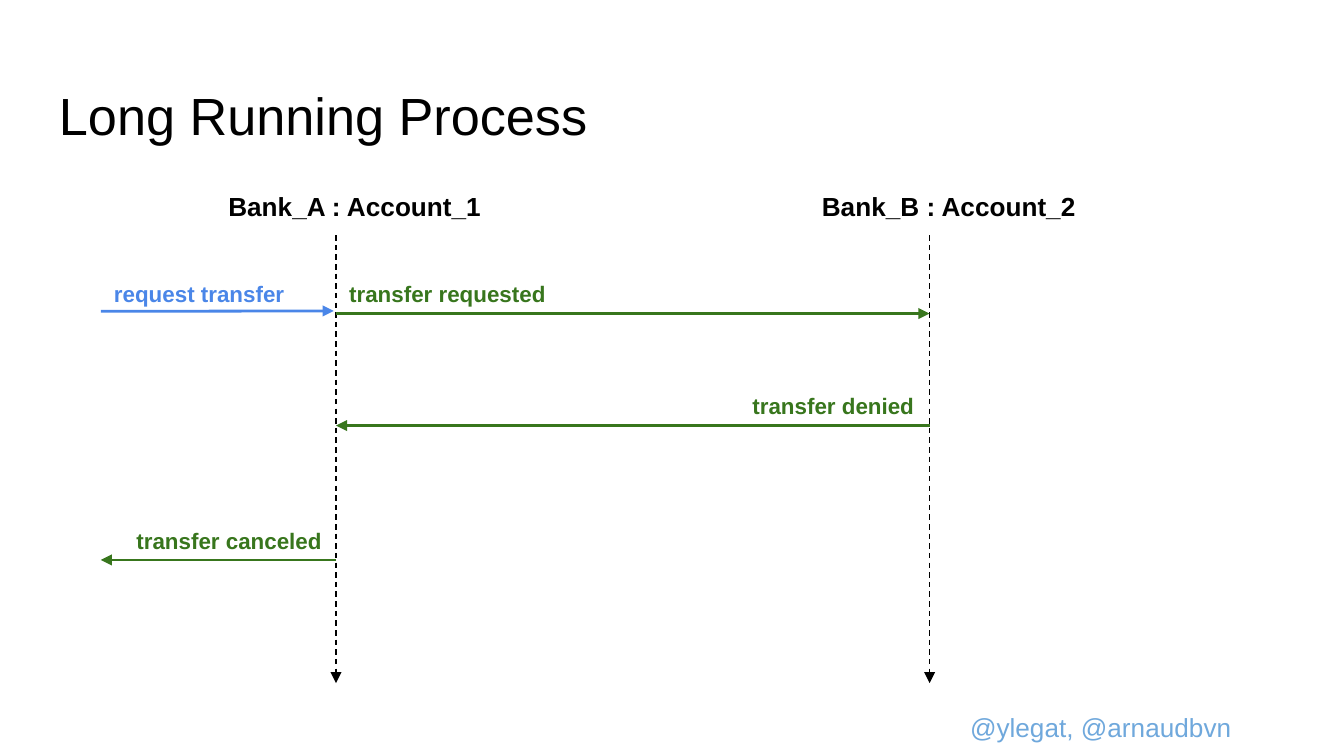
from dataclasses import dataclass

from lxml import etree
from pptx import Presentation
from pptx.dml.color import RGBColor
from pptx.enum import dml, shapes, text
from pptx.oxml import ns
from pptx.util import Pt

COLORS = {
    "ink": "000000",
    "event": "38761D",
    "command": "4A86E8",
    "footer": "6FA8DC",
}
FONT = "Arial"
INSET = 7.2

# Lifeline geometry
BANK_A_X, BANK_B_X = 180, 498
OUTSIDE_X = 54
LIFELINE_TOP, LIFELINE_BOTTOM = 126, 366
LABEL_HEIGHT = 25.2


@dataclass
class Label:
    words: str
    left: float
    top: float
    width: float
    height: float = LABEL_HEIGHT
    size: float = 12
    color: str = "event"
    bold: bool = True
    top_inset: float = INSET


@dataclass
class Arrow:
    x1: float
    y1: float
    x2: float
    y2: float
    color: str = "event"
    width: float = 1.5
    dashed: bool = False


def rgb(name: str) -> RGBColor:
    return RGBColor.from_string(COLORS[name])


def draw_label(s, label: Label) -> None:
    sp = s.shapes.add_textbox(
        Pt(label.left), Pt(label.top), Pt(label.width), Pt(label.height))
    tf = sp.text_frame
    tf.word_wrap = True
    tf.vertical_anchor = text.MSO_ANCHOR.TOP
    tf.margin_left = tf.margin_right = tf.margin_bottom = Pt(INSET)
    tf.margin_top = Pt(label.top_inset)
    p = tf.paragraphs[0]
    p.text = label.words
    p.font.name = FONT
    p.font.size = Pt(label.size)
    p.font.bold = label.bold
    p.font.color.rgb = rgb(label.color)


def draw_arrow(s, arrow: Arrow) -> None:
    cx = s.shapes.add_connector(
        shapes.MSO_CONNECTOR.STRAIGHT,
        Pt(arrow.x1), Pt(arrow.y1), Pt(arrow.x2), Pt(arrow.y2))
    cx.line.color.rgb = rgb(arrow.color)
    cx.line.width = Pt(arrow.width)
    if arrow.dashed:
        cx.line.dash_style = dml.MSO_LINE.DASH
    # Arrowhead at the end point, and no theme shadow
    etree.SubElement(cx.line._get_or_add_ln(), ns.qn("a:tailEnd"),
                     type="triangle", w="med", len="med")
    etree.SubElement(cx._element.spPr, ns.qn("a:effectLst"))


def draw_participant(s, name: str, x: float) -> None:
    draw_arrow(s, Arrow(x, LIFELINE_TOP, x, LIFELINE_BOTTOM,
                        "ink", 0.75, dashed=True))
    draw_label(s, Label(name, x - 64.8, 95, 162, size=14, color="ink"))


MESSAGES = [
    (Label("transfer requested", BANK_A_X, 142.6, 136.8),
     Arrow(BANK_A_X, 168, BANK_B_X, 168)),
    (Label("transfer denied", 396, 203, 113.8),
     Arrow(BANK_B_X, 228, BANK_A_X, 228)),
    (Label("transfer canceled", 66, 275, 126),
     Arrow(BANK_A_X, 300, OUTSIDE_X, 300)),
    (Label("request transfer", OUTSIDE_X, 142.6, 116, color="command"),
     Arrow(OUTSIDE_X, 166.8, 178.8, 166.6, "command")),
]


def main() -> None:
    prs = Presentation()
    prs.slide_width, prs.slide_height = Pt(720), Pt(405)
    s = prs.slides.add_slide(prs.slide_layouts[6])

    # Title
    draw_label(s, Label("Long Running Process", 24.5, 35.3, 671, 45.4,
                        size=28, color="ink", bold=False, top_inset=9.5))

    # Participants with their lifelines
    draw_participant(s, "Bank_A : Account_1", BANK_A_X)
    draw_participant(s, "Bank_B : Account_2", BANK_B_X)

    # Messages
    for label, arrow in MESSAGES:
        draw_label(s, label)
        draw_arrow(s, arrow)

    # Authors
    draw_label(s, Label("@ylegat, @arnaudbvn", 512.6, 373.7, 158.4, 31,
                        size=14, color="footer", bold=False))

    prs.save("out.pptx")


if __name__ == "__main__":
    main()
